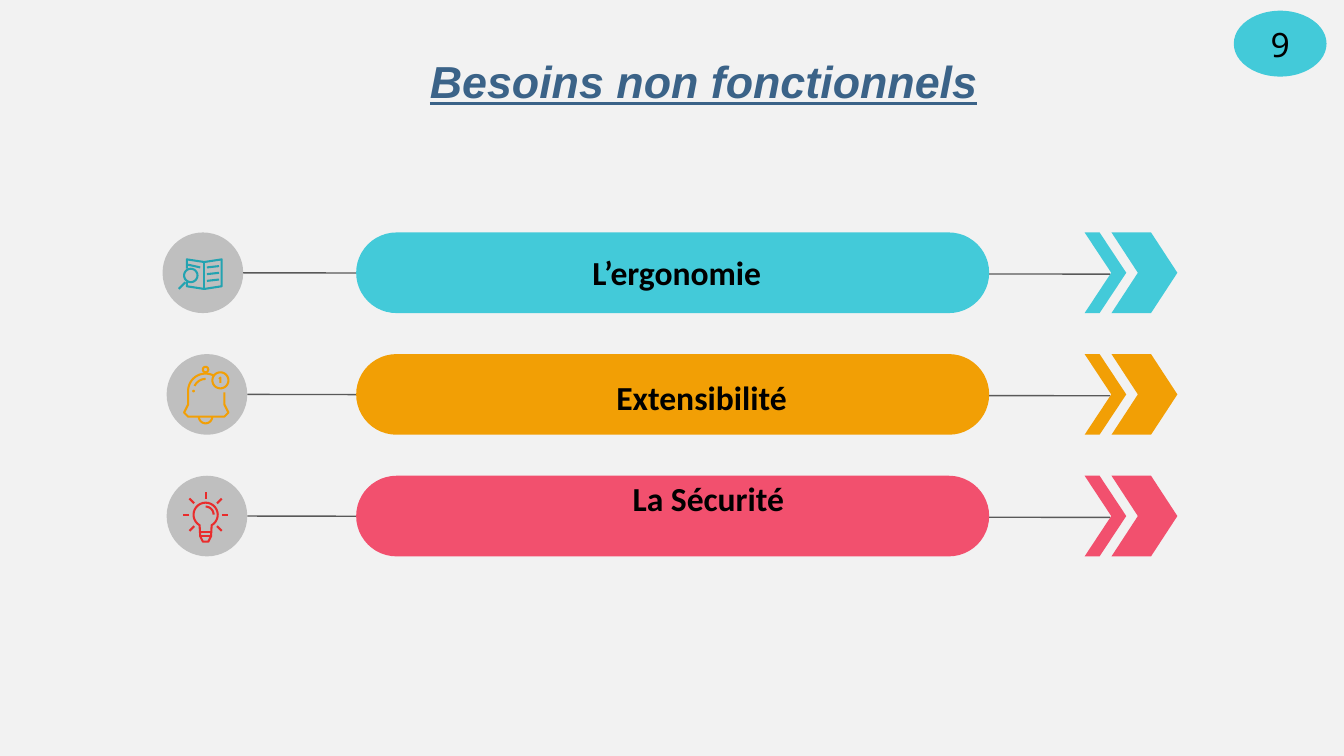
"""Build the slide on non-functional needs: three labelled bars with icons and chevrons."""
from dataclasses import dataclass
from math import cos, radians, sin

from lxml import etree
from pptx import Presentation
from pptx import util as u
from pptx.dml.color import RGBColor
from pptx.enum import shapes, text
from pptx.oxml import ns


@dataclass(frozen=True)
class Theme:
    ground: str = "F2F2F2"
    title: str = "3B6388"
    ink: str = "000000"
    wire: str = "595959"
    disc: str = "BFBFBF"
    teal: str = "43CAD9"
    amber: str = "F29F05"
    rose: str = "F2506E"
    book: str = "23A3B1"
    bulb: str = "E92C2C"
    head: int = 24
    body: int = 18
    thin: float = 0.75
    pen: float = 1.1


THEME = Theme()
KIND = shapes.MSO_SHAPE
MID = text.MSO_ANCHOR.MIDDLE
TOP = text.MSO_ANCHOR.TOP
FIRST, LAST = 1.73, 3.54


def rgb(code):
    return RGBColor.from_string(code)


def place(item, left, top, width, height):
    item.left, item.top = u.Inches(left), u.Inches(top)
    item.width, item.height = u.Inches(width), u.Inches(height)


def write(frame, words, face, size, color, anchor, pads):
    frame.word_wrap = True
    frame.vertical_anchor = anchor
    frame.margin_left, frame.margin_top, frame.margin_right, frame.margin_bottom = (
        u.Inches(pad) for pad in pads)
    para = frame.paragraphs[0]
    para.text = words
    para.alignment = text.PP_ALIGN.CENTER
    font = para.font
    font.name, font.size = face, u.Pt(size)
    font.color.rgb = rgb(color)
    return font


def solid(slide, kind, box, color, *adjust):
    shape = slide.shapes.add_shape(kind, *map(u.Inches, box))
    shape.shadow.inherit = False
    shape.fill.solid()
    shape.fill.fore_color.rgb = rgb(color)
    shape.line.fill.background()
    for spot, value in enumerate(adjust):
        shape.adjustments[spot] = value
    return shape


def link(slide, start, end, color, width=THEME.pen):
    line = slide.shapes.add_connector(
        shapes.MSO_CONNECTOR.STRAIGHT, *map(u.Inches, (*start, *end)))
    line.line.color.rgb = rgb(color)
    line.line.width = u.Pt(width)
    etree.SubElement(line._element.spPr, ns.qn("a:effectLst"))


def trace(slide, points, color, close=False):
    spots = [(u.Inches(x), u.Inches(y)) for x, y in points]
    pen = slide.shapes.build_freeform(*spots[0])
    pen.add_line_segments(spots[1:], close=close)
    shape = pen.convert_to_shape()
    shape.shadow.inherit = False
    shape.fill.background()
    shape.line.color.rgb = rgb(color)
    shape.line.width = u.Pt(THEME.pen)


def polar(hub, reach, angle):
    return hub[0] + reach * cos(radians(angle)), hub[1] + reach * sin(radians(angle))


def arc(hub, reach, start, end, steps=24):
    return [polar(hub, reach, start + (end - start) * n / steps) for n in range(steps + 1)]


def ring(slide, hub, reach, color):
    trace(slide, arc(hub, reach, 0, 360)[:-1], color, close=True)


def draw_book(slide):
    color = THEME.book
    trace(slide, [(1.39, 2), (1.39, 1.93), (1.52, 1.95), (1.65, 1.93),
                  (1.65, 2.13), (1.52, 2.15), (1.39, 2.13), (1.39, 2.1)], color)
    link(slide, (1.52, 1.95), (1.52, 2.15), color)
    ring(slide, (1.42, 2.05), 0.05, color)
    link(slide, (1.38, 2.1), (1.33, 2.15), color)
    link(slide, (1.4, 1.97), (1.49, 1.99), color)
    for row in range(3):
        top = 1.97 + 0.05 * row
        link(slide, (1.54, top + 0.02), (1.63, top + 0.01), color)


def draw_bell(slide):
    color, hub = THEME.amber, (1.53, 2.91)
    trace(slide, [(1.67, 2.92), (1.67, 3.01), (1.7, 3.07), (1.67, 3.1), (1.4, 3.1),
                  (1.37, 3.07), (1.4, 3.01), *arc(hub, 0.13, 180, 300)], color)
    trace(slide, arc(hub, 0.09, 205, 270), color)
    trace(slide, arc((1.53, 3.1), 0.05, 0, 180), color)
    ring(slide, (1.53, 2.75), 0.02, color)
    ring(slide, (1.64, 2.83), 0.06, color)
    trace(slide, [(1.63, 2.82), (1.64, 2.81), (1.64, 2.85)], color)
    solid(slide, KIND.OVAL, (1.43, 2.9, 0.02, 0.02), color)


def draw_bulb(slide):
    color, hub = THEME.bulb, (1.53, 3.83)
    trace(slide, [*arc(hub, 0.09, 120, 420), (1.57, 3.99), (1.55, 4.03),
                  (1.51, 4.03), (1.49, 3.99)], color, close=True)
    trace(slide, arc(hub, 0.06, 270, 360), color)
    for level in (3.96, 3.99):
        link(slide, (1.49, level), (1.57, level), color)
    for angle in range(135, 406, 45):
        link(slide, polar(hub, 0.12, angle), polar(hub, 0.17, angle), color)


def draw_row(slide, top, color, disc):
    for left, width, slant in ((8.27, 0.49, 0.4), (8.07, 0.31, 0.64)):
        solid(slide, KIND.CHEVRON, (left, top, width, 0.6), color, slant)
    solid(slide, KIND.OVAL, (disc, top, 0.6, 0.6), THEME.disc)
    link(slide, (8.26, top + 0.31), (disc + 0.6, top + 0.3), THEME.wire, THEME.thin)
    solid(slide, KIND.ROUNDED_RECTANGLE, (2.65, top, 4.71, 0.6), color, 0.5)


def add_label(slide, words, box, anchor):
    frame = slide.shapes.add_textbox(*map(u.Inches, box)).text_frame
    font = write(frame, words, "Calibri", THEME.body, THEME.ink, anchor, (0.6, 0.1, 0.1, 0.1))
    font.bold = True


def add_title(slide, words):
    title = slide.shapes.title
    place(title, 2.22, 0.35, 6.03, 0.5)
    font = write(title.text_frame, words, "Arial", THEME.head, THEME.title, TOP,
                 (0.1, 0.05, 0.1, 0.05))
    font.bold = font.italic = font.underline = True


def add_badge(slide, words):
    badge = solid(slide, KIND.OVAL, (9.18, 0.08, 0.69, 0.49), THEME.teal)
    write(badge.text_frame, words, "Noto Sans", THEME.body, THEME.ink, MID,
          (0.1, 0.05, 0.1, 0.05))


def main():
    deck = Presentation()
    deck.slide_width = u.Inches(10)
    deck.slide_height = deck.slide_width * 9 // 16
    slide = deck.slides.add_slide(deck.slide_layouts[5])
    slide.background.fill.solid()
    slide.background.fill.fore_color.rgb = rgb(THEME.ground)
    add_title(slide, "Besoins non fonctionnels")
    rows = (
        (THEME.teal, 1.21, draw_book, "L’ergonomie", (2.66, 1.68, 4.25, 0.69), MID),
        (THEME.amber, 1.24, draw_bell, "Extensibilité", (2.79, 2.61, 4.36, 0.69), MID),
        (THEME.rose, 1.24, draw_bulb, "La Sécurité", (2.76, 3.46, 4.52, 0.76), TOP),
    )
    pitch = (LAST - FIRST) / (len(rows) - 1)
    for order, (color, disc, icon, words, box, anchor) in enumerate(rows):
        draw_row(slide, FIRST + pitch * order, color, disc)
        icon(slide)
        add_label(slide, words, box, anchor)
    add_badge(slide, "9")
    deck.save("out.pptx")


if __name__ == "__main__":
    main()
